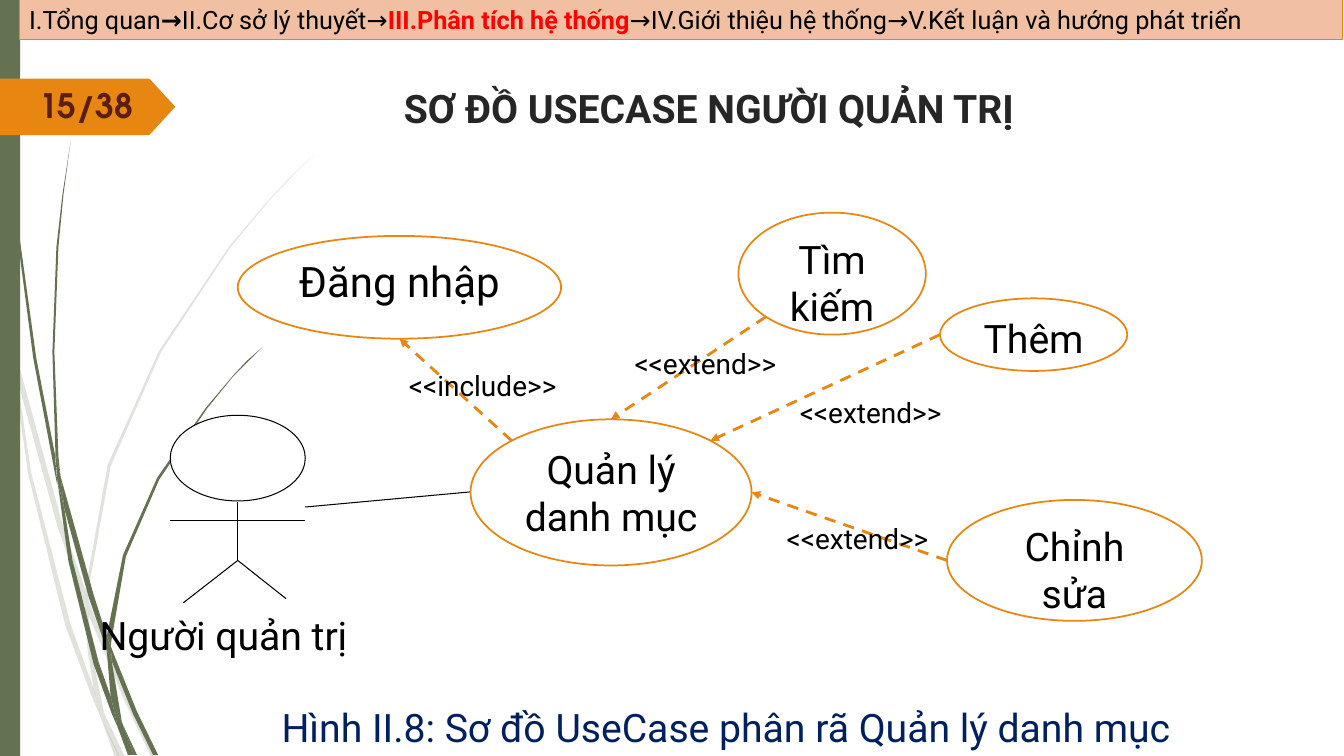
from math import sqrt
from lxml.etree import SubElement
from pptx import Presentation
from pptx.dml.color import RGBColor
from pptx.enum.dml import MSO_LINE
from pptx.enum.shapes import MSO_CONNECTOR as Connector, MSO_SHAPE as Shape
from pptx.enum.text import MSO_ANCHOR as Anchor, MSO_AUTO_SIZE as AutoSize, PP_ALIGN as Align
from pptx.oxml.ns import qn
from pptx.util import Inches, Pt

COLUMNS, ROWS, CELL = 1334, 750, Inches(0.01)
GREEN, ORANGE, BLACK, WHITE = "647252", "E78712", "000000", "FFFFFF"
FONT = "Roboto"

TITLE = "SƠ ĐỒ USECASE NGƯỜI QUẢN TRỊ"
TRAIL = [
    ("I.Tổng quan", BLACK, False),
    ("→", BLACK, True),
    ("II.Cơ sở lý thuyết→", BLACK, False),
    ("III.Phân tích hệ thống", "FF0000", True),
    ("→IV.Giới thiệu hệ thống→V.Kết luận và hướng phát triển", BLACK, False),
]
PAGE_NUMBER = "15/38"
CAPTION = "Hình II.8: Sơ đồ UseCase phân rã Quản lý danh mục"
ACTOR = "Người quản trị"

USE_CASES = {
    "Đăng nhập": ((236, 234, 321, 102), 30),
    "Quản lý danh mục": ((467, 416, 279, 145), 28),
    "Thêm": ((933, 296, 186, 72), 28),
    "Chỉnh sửa": ((940, 496, 253, 120), 28),
    "Tìm kiếm": ((733, 211, 186, 121), 28),
}
RELATIONS = [
    ("Quản lý danh mục", (-1, -1), "Đăng nhập", (0, 1), "<<include>>", (396, 361)),
    ("Tìm kiếm", (-1, 1), "Quản lý danh mục", (0, -1), "<<extend>>", (620, 339)),
    ("Thêm", (-1, 0), "Quản lý danh mục", (1, -1), "<<extend>>", (784, 387)),
    ("Chỉnh sửa", (-1, 0), "Quản lý danh mục", (1, 0), "<<extend>>", (771, 512)),
]
ACTOR_HEAD = (169, 412, 134, 85)
ACTOR_LINES = [
    ((236, 498), (236, 556)),
    ((169, 516), (303, 516)),
    ((236, 556), (182, 598)),
    ((236, 556), (284, 594)),
    ((303, 503), (467, 488)),
]

PALE_BLADES = [
    [(11, 350), (8, 322), (0, 282), (0, 299), (10, 344)],
    [(57, 522), (84, 599), (85, 586), (62, 520), (14, 345), (17, 376)],
    [(92, 607), (88, 596), (88, 610), (123, 694), (150, 751), (155, 751), (127, 692)],
    [(119, 751), (124, 751), (105, 711)],
    [(93, 683), (70, 619), (31, 469), (17, 376), (11, 350), (28, 470), (65, 621),
     (92, 693), (101, 714), (99, 707)],
    [(84, 599), (87, 646), (93, 683), (96, 692), (105, 711), (103, 706), (91, 646),
     (88, 610), (88, 608)],
    [(88, 584), (110, 462), (160, 349), (229, 245), (268, 198), (290, 175), (312, 153),
     (289, 175), (268, 197), (228, 244), (158, 348), (107, 461), (85, 584), (85, 586), (88, 596)],
    [(101, 714), (114, 751), (119, 751)],
    [(88, 608), (88, 610), (88, 596), (85, 586), (84, 599)],
    [(96, 692), (93, 683), (99, 707), (101, 714), (118, 751), (119, 751), (105, 711)],
]
DARK_BLADES = [
    [(7, 110), (17, 233), (33, 355), (56, 477), (57, 481), (55, 457), (55, 453), (36, 355),
     (19, 232), (8, 109), (5, 48), (3, 0), (3, 48)],
    [(88, 592), (106, 645), (106, 633), (106, 631), (93, 590), (60, 472), (64, 505)],
    [(113, 649), (110, 641), (111, 656), (132, 708), (152, 749), (157, 749), (136, 706)],
    [(110, 691), (98, 657), (72, 556), (64, 505), (57, 477), (68, 557), (93, 659),
     (111, 708), (117, 722), (116, 717)],
    [(60, 472), (58, 453), (54, 349), (58, 245), (63, 193), (70, 141), (62, 193),
     (56, 245), (52, 349), (55, 449)],
    [(133, 749), (136, 749), (122, 719)],
    [(57, 477), (64, 505), (60, 472), (55, 449), (55, 453)],
    [(111, 633), (125, 552), (158, 476), (205, 406), (231, 374), (246, 359), (261, 344),
     (245, 358), (231, 373), (204, 405), (156, 474), (122, 551), (106, 631), (110, 641)],
    [(117, 722), (127, 749), (131, 749)],
    [(106, 645), (110, 692), (116, 706), (122, 719), (121, 716), (111, 656), (109, 651)],
    [(106, 645), (109, 651), (111, 656), (110, 641), (106, 631), (106, 633)],
    [(116, 706), (110, 691), (116, 717), (117, 722), (130, 749), (133, 749), (122, 719)],
]


def color(code):
    return RGBColor.from_string(code)


def cells(values):
    return [round(value * CELL) for value in values]


def paint(shape, fill, line=None, width=0.75):
    shape.shadow.inherit = False
    shape.fill.solid()
    shape.fill.fore_color.rgb = color(fill)
    if line:
        shape.line.color.rgb = color(line)
        shape.line.width = Pt(width)
    else:
        shape.line.fill.background()


def write(shape, spans, size, align=Align.LEFT, font=FONT, anchor=Anchor.TOP):
    frame = shape.text_frame
    frame.word_wrap = True
    frame.auto_size = AutoSize.NONE
    frame.vertical_anchor = anchor
    para = frame.paragraphs[0]
    para.alignment = align
    para.font.size = Pt(size)
    para.font.name = font
    for text, code, bold in spans:
        span = para.add_run()
        span.text = text
        span.font.color.rgb = color(code)
        span.font.bold = bold


def add_shape(page, kind, area, fill, line=None, width=0.75):
    shape = page.shapes.add_shape(kind, *cells(area))
    paint(shape, fill, line, width)
    return shape


def add_label(page, area, text, size, code=BLACK, bold=False, **style):
    box = page.shapes.add_textbox(*cells(area))
    write(box, [(text, code, bold)], size, **style)


def add_line(page, start, end, code=BLACK, width=0.75, arrow=False):
    line = page.shapes.add_connector(Connector.STRAIGHT, *cells(start + end))
    line.line.color.rgb = color(code)
    line.line.width = Pt(width)
    properties = line._element.spPr
    if arrow:
        line.line.dash_style = MSO_LINE.DASH
        SubElement(properties.find(qn("a:ln")), qn("a:tailEnd"), type="triangle")
    SubElement(properties, qn("a:effectLst"))


def add_blade(page, outline, opacity):
    start, *others = [cells(point) for point in outline]
    builder = page.shapes.build_freeform(*start)
    builder.add_line_segments(others, close=True)
    blade = builder.convert_to_shape()
    paint(blade, GREEN)
    if opacity < 100:
        tint = blade._element.spPr.find(qn("a:solidFill"))[0]
        SubElement(tint, qn("a:alpha"), val=str(opacity * 1000))


def edge_point(name, direction):
    left, top, width, height = USE_CASES[name][0]
    dx, dy = direction
    reach = 2 * sqrt(dx**2 + dy**2)
    return left + width / 2 + dx * width / reach, top + height / 2 + dy * height / reach


def main():
    deck = Presentation()
    deck.slide_width, deck.slide_height = COLUMNS * CELL, ROWS * CELL
    page = deck.slides.add_slide(deck.slide_layouts[5])
    title = page.shapes.title
    title.left, title.top, title.width, title.height = cells((216, 79, 975, 88))
    write(title, [(TITLE, "262626", True)], 28, Align.CENTER)

    for blades, opacity in ((PALE_BLADES, 20), (DARK_BLADES, 100)):
        for outline in blades:
            add_blade(page, outline, opacity)
    add_shape(page, Shape.RECTANGLE, (0, 0, 20, ROWS), GREEN)
    tag = add_shape(page, Shape.PENTAGON, (0, 78, 174, 56), ORANGE)
    tag.adjustments[0] = 0.46
    add_label(page, (29, 79, 120, 50), PAGE_NUMBER, 24, "5B1E12", True, font="TeX Gyre Adventor")
    add_label(page, (252, 693, 937, 104), CAPTION, 28, "002060", align=Align.CENTER)

    add_shape(page, Shape.OVAL, ACTOR_HEAD, WHITE, BLACK)
    for start, end in ACTOR_LINES:
        add_line(page, start, end)
    add_label(page, (89, 602, 320, 57), ACTOR, 28)

    for name, (area, size) in USE_CASES.items():
        oval = add_shape(page, Shape.OVAL, area, WHITE, ORANGE, 1.25)
        write(oval, [(name, BLACK, False)], size, Align.CENTER)
    for source, leave, target, arrive, label, corner in RELATIONS:
        add_line(page, edge_point(source, leave), edge_point(target, arrive), ORANGE, 2, arrow=True)
        add_label(page, corner + (190, 44), label, 20)

    trail = add_shape(page, Shape.RECTANGLE, (19, -1, 1314, 40), "F1BFA2", ORANGE)
    write(trail, TRAIL, 18, anchor=Anchor.MIDDLE)
    deck.save("out.pptx")


if __name__ == "__main__":
    main()
